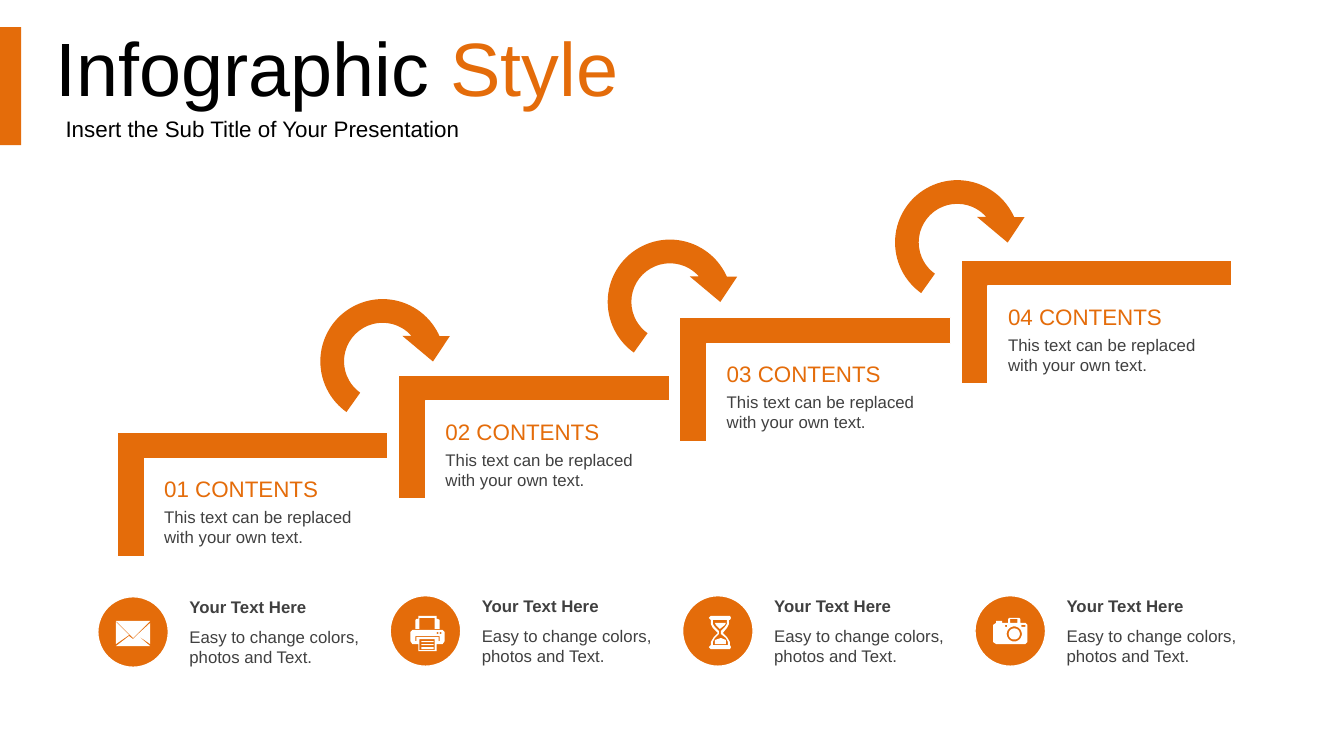
import math

import pptx
import pptx.dml.color
import pptx.enum.shapes
import pptx.enum.text
import pptx.util

Inches = pptx.util.Inches
RGBColor = pptx.dml.color.RGBColor
Shapes = pptx.enum.shapes.MSO_SHAPE
Anchor = pptx.enum.text.MSO_ANCHOR

ORANGE = RGBColor(0xE4, 0x6C, 0x0A)
GRAY = RGBColor(0x40, 0x40, 0x40)
BLACK = RGBColor(0, 0, 0)
WHITE = RGBColor(0xFF, 0xFF, 0xFF)
FONT = "Arial"


def box(left, top, right, bottom):
    return [(left, top), (right, top), (right, bottom), (left, bottom)]


def circle(x, y, radius, count=32):
    angles = [2 * math.pi * i / count for i in range(count)]
    return [(x + radius * math.cos(a), y + radius * math.sin(a)) for a in angles]


# Content
TITLE = [("Infographic ", BLACK), ("Style", ORANGE)]
SUBTITLE = "Insert the Sub Title of Your Presentation"
STEPS = ["01 CONTENTS", "02 CONTENTS", "03 CONTENTS", "04 CONTENTS"]
STEP_TEXT = "This text can be replaced with your own text."
FEATURE_HEADING = "Your Text Here"
FEATURE_TEXT = "Easy to change colors, photos and Text."

# Icon outlines, in hundredths of an inch from the centre of their disc
ENVELOPE = [
    [(4, 3), (17, 14), (-17, 14), (-4, 4), (0, 7)],
    [(17, -9), (17, 12), (4, 3)],
    [(-17, -10), (-4, 3), (-17, 12)],
    [(-17, -11), (17, -11), (0, 6)],
]
PRINTER = [
    box(-4, 16, 8, 18), box(-4, 13, 8, 14), box(-4, 10, 8, 11),
    box(-6, 8, 9, 19),
    [(-10, 5), (-10, 10), (-7, 10), (-9, 10), (-9, 6), (13, 6), (13, 10),
     (11, 10), (14, 10), (14, 5)],
    circle(15, 2, 1), circle(12, 2, 1),
    [(-13, -1), (17, -1), (19, 1), (19, 10), (17, 13), (11, 13), (11, 20),
     (-7, 20), (-7, 13), (-13, 13), (-15, 10), (-15, 1)],
    [(-7, -15), (11, -15), (11, -12), (12, -12), (14, -11), (14, -2), (9, -2),
     (9, -13), (-6, -13), (-6, -2), (-10, -2), (-10, -11), (-9, -12), (-7, -12)],
]
HOURGLASS = [
    [(3, 7), (8, 9), (8, 13), (-3, 13), (-3, 9)],
    [(-3, -8), (8, -8), (7, -6), (2, -2), (-2, -6)],
    [(-5, -11), (-5, -7), (-3, -4), (1, 0), (1, 3), (-3, 7), (-5, 11), (-5, 14),
     (10, 14), (10, 11), (8, 7), (3, 3), (3, 0), (7, -4), (9, -7), (9, -11)],
    [(-7, -15), (12, -15), (13, -13), (12, -11), (11, -11), (11, -7), (9, -3),
     (5, 2), (9, 6), (12, 11), (12, 14), (13, 16), (12, 18), (-7, 18), (-9, 16),
     (-7, 14), (-7, 11), (-4, 6), (0, 2), (-5, -3), (-7, -7), (-7, -11), (-9, -13)],
]
CAMERA = [
    circle(4, 3, 5.5), circle(4, 3, 7.5),
    box(-5, -6, -3, -4), box(11, -6, 15, -4), box(0, -12, 7, -8),
    [(-1, -13), (9, -13), (10, -12), (10, -8), (15, -8), (17, -6), (17, 11),
     (15, 13), (-14, 13), (-17, 11), (-17, -6), (-14, -8), (-14, -10), (-8, -10),
     (-8, -8), (-2, -8), (-2, -12)],
]
# Icon and top of its disc
FEATURES = [(ENVELOPE, 5.92), (PRINTER, 5.91), (HOURGLASS, 5.91), (CAMERA, 5.91)]

# Layout rules, in inches
STEP_PITCH, STEP_RISE = 2.79, 0.57
ARROW_PITCH, ARROW_RISE = 2.85, 0.59
FEATURE_PITCH = 2.9
DISC = 0.7
CORNER_ADJUSTMENTS = [0.22, 0.21]
ARROW_ADJUSTMENTS = [0.16, 18.21, 197.9, 75.28, 0.16]

presentation = pptx.Presentation()
presentation.slide_width = Inches(13.33)
presentation.slide_height = Inches(7.5)
slide = presentation.slides.add_slide(presentation.slide_layouts[5])


def paint(shape, fill, line=None):
    shape.shadow.inherit = False
    shape.fill.solid()
    shape.fill.fore_color.rgb = fill
    if line is None:
        shape.line.fill.background()
    else:
        shape.line.color.rgb = line
        shape.line.width = pptx.util.Pt(1)


def add_shape(kind, left, top, width, height, line=None, adjustments=()):
    shape = slide.shapes.add_shape(
        kind, Inches(left), Inches(top), Inches(width), Inches(height))
    for index, value in enumerate(adjustments):
        shape.adjustments[index] = value
    paint(shape, ORANGE, line)
    return shape


def write(frame, runs, size, bold=False):
    frame.word_wrap = True
    paragraph = frame.paragraphs[0]
    paragraph.alignment = pptx.enum.text.PP_ALIGN.LEFT
    for text, color in runs:
        run = paragraph.add_run()
        run.text = text
        run.font.name = FONT
        run.font.size = pptx.util.Pt(size)
        run.font.bold = bold
        run.font.color.rgb = color


def add_text(text, left, top, width, height, size, color, bold=False,
             anchor=Anchor.TOP):
    frame = slide.shapes.add_textbox(
        Inches(left), Inches(top), Inches(width), Inches(height)).text_frame
    frame.vertical_anchor = anchor
    write(frame, [(text, color)], size, bold)
    return frame


def add_icon(outlines, center_x, center_y):
    # Local units are thousandths of an inch
    scaled = [[(x * 10, y * 10) for x, y in outline] for outline in outlines]
    builder = slide.shapes.build_freeform(*scaled[0][0], scale=Inches(1) / 1000)
    for index, outline in enumerate(scaled):
        if index:
            builder.move_to(*outline[0])
        builder.add_line_segments(outline[1:], close=True)
    paint(builder.convert_to_shape(Inches(center_x), Inches(center_y)), WHITE)


# Header
add_shape(Shapes.RECTANGLE, 0, 0.27, 0.21, 1.17)
title = slide.shapes.title
title.left, title.top = Inches(0.45), Inches(0.29)
title.width, title.height = Inches(12.55), Inches(0.79)
title_frame = title.text_frame
title_frame.auto_size = pptx.enum.text.MSO_AUTO_SIZE.NONE
title_frame.vertical_anchor = Anchor.MIDDLE
write(title_frame, TITLE, 54)
subtitle_frame = add_text(SUBTITLE, 0.45, 1.08, 12.55, 0.38, 16, BLACK,
                          anchor=Anchor.MIDDLE)
subtitle_frame.margin_left = Inches(0.2)
for frame in (title_frame, subtitle_frame):
    frame.margin_top = Inches(0.1)
    frame.paragraphs[0].line_spacing = 0.9

# Staircase of brackets with their texts
for index, heading in enumerate(STEPS):
    shift, rise = index * STEP_PITCH, index * STEP_RISE
    bracket = add_shape(Shapes.CORNER, 1.89 + shift, 3.56 - rise, 1.23, 2.69,
                        WHITE, CORNER_ADJUSTMENTS)
    bracket.rotation = 90
    add_text(STEP_TEXT, 1.53 + shift, 4.98 - rise, 2.14, 0.5, 12, GRAY)
    add_text(heading, 1.53 + shift, 4.66 - rise, 2.13, 0.37, 16, ORANGE,
             anchor=Anchor.BOTTOM)

# Arrows between steps
for index in range(len(STEPS) - 1):
    add_shape(Shapes.CIRCULAR_ARROW, 3.06 + index * ARROW_PITCH,
              2.85 - index * ARROW_RISE, 1.47, 1.47,
              adjustments=ARROW_ADJUSTMENTS)

# Row of features
for index, (icon, top) in enumerate(FEATURES):
    left = 0.97 + index * FEATURE_PITCH
    add_shape(Shapes.OVAL, left, top, DISC, DISC, WHITE)
    add_icon(icon, left + DISC / 2, top + DISC / 2)
    add_text(FEATURE_HEADING, left + 0.81, top - 0.05, 1.95, 0.3, 12, GRAY, bold=True)
    add_text(FEATURE_TEXT, left + 0.81, top + 0.25, 1.95, 0.5, 12, GRAY)

presentation.save("out.pptx")
